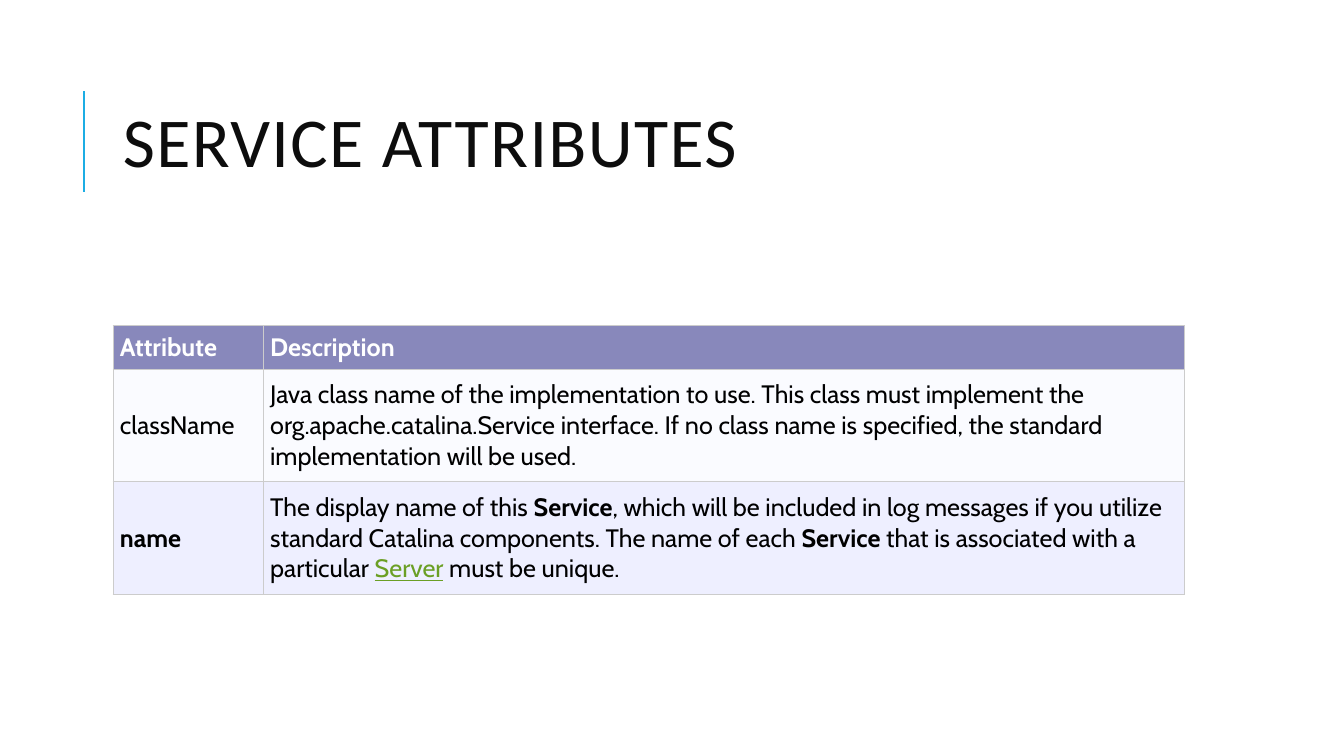
from lxml.etree import SubElement
from pptx import Presentation
from pptx.dml.color import RGBColor
from pptx.enum.shapes import MSO_CONNECTOR
from pptx.enum.text import MSO_ANCHOR
from pptx.oxml.ns import qn
from pptx.util import Pt

PX = 9144  # 100 px to the inch

ACCENT = RGBColor(0x1C, 0xAD, 0xE4)
TITLE_INK = RGBColor(0x0D, 0x0D, 0x0D)
WHITE = RGBColor(0xFF, 0xFF, 0xFF)
BLACK = RGBColor(0x00, 0x00, 0x00)
LINK = RGBColor(0x6B, 0x9F, 0x25)
HEADER_FILL = RGBColor(0x88, 0x88, 0xBB)
ROW_FILLS = [RGBColor(0xFA, 0xFB, 0xFF), RGBColor(0xEE, 0xEF, 0xFF)]
GRID = RGBColor(0xCC, 0xCC, 0xCC)

BOLD = {"bold": True}
UNDERLINED = {"color": LINK, "underline": True}

HEADER = ["Attribute", "Description"]
ATTRIBUTES = [
    (
        [("className", {})],
        [("Java class name of the implementation to use. This class must implement "
          "the org.apache.catalina.Service interface. If no class name is specified, "
          "the standard implementation will be used.", {})],
    ),
    (
        [("name", BOLD)],
        [("The display name of this ", {}),
         ("Service", BOLD),
         (", which will be included in log messages if you utilize standard "
          "Catalina components. The name of each ", {}),
         ("Service", BOLD),
         (" that is associated with a particular ", {}),
         ("Server", UNDERLINED),
         (" must be unique.", {})],
    ),
]


def add_text(paragraph, text, font="Cabin", size=18, color=BLACK, bold=False,
             underline=False, spacing=0):
    run = paragraph.add_run()
    run.text = text
    run.font.name = font
    run.font.size = Pt(size)
    run.font.color.rgb = color
    run.font.bold = bold
    run.font.underline = underline
    if spacing:
        run._r.get_or_add_rPr().set("spc", str(spacing * 100))


def add_title(slide, text, left, top, width, height):
    """Place the heading in the box, with the accent rule to its left."""
    rule_x, rule_top, rule_height = left - 29, top + 26, 100
    rule = slide.shapes.add_connector(
        MSO_CONNECTOR.STRAIGHT, rule_x * PX, (rule_top + rule_height) * PX,
        rule_x * PX, rule_top * PX)
    rule.line.color.rgb = ACCENT
    rule.line.width = Pt(1.5)
    SubElement(rule._element.spPr, qn("a:effectLst"))

    heading = slide.shapes.add_textbox(left * PX, top * PX, width * PX, height * PX)
    frame = heading.text_frame
    frame.word_wrap = True
    frame.vertical_anchor = MSO_ANCHOR.MIDDLE
    frame.paragraphs[0].line_spacing = 0.8
    add_text(frame.paragraphs[0], text, font="Calibri", size=50, color=TITLE_INK,
             spacing=1)


def add_borders(cell):
    properties = cell._tc.get_or_add_tcPr()
    for position, side in enumerate(("lnL", "lnR", "lnT", "lnB")):
        border = properties.makeelement(qn(f"a:{side}"), {"w": str(Pt(0.6))})
        properties.insert(position, border)
        fill = SubElement(border, qn("a:solidFill"))
        SubElement(fill, qn("a:srgbClr"), val=str(GRID))


def fill_cell(cell, runs, fill):
    cell.fill.solid()
    cell.fill.fore_color.rgb = fill
    cell.vertical_anchor = MSO_ANCHOR.MIDDLE
    cell.margin_left = cell.margin_right = 7 * PX
    cell.margin_top = cell.margin_bottom = 4 * PX
    for text, style in runs:
        add_text(cell.text_frame.paragraphs[0], text, **style)
    add_borders(cell)


def add_attribute_table(slide, left, top, width, height):
    name_width, header_height = 149, 43
    row_height = (height - header_height) // len(ATTRIBUTES)
    table = slide.shapes.add_table(
        len(ATTRIBUTES) + 1, len(HEADER),
        left * PX, top * PX, width * PX, height * PX).table
    table.columns[0].width = name_width * PX
    table.columns[1].width = (width - name_width) * PX

    header_style = {"color": WHITE, "bold": True}
    header_cells = [[(label, header_style)] for label in HEADER]
    rows = [(header_cells, HEADER_FILL, header_height)]
    rows += [(cells, fill, row_height) for cells, fill in zip(ATTRIBUTES, ROW_FILLS)]
    for row, (cells, fill, row_px) in zip(table.rows, rows):
        row.height = row_px * PX
        for cell, runs in zip(row.cells, cells):
            fill_cell(cell, runs, fill)


def main():
    presentation = Presentation()
    presentation.slide_width = 1333 * PX
    presentation.slide_height = 750 * PX
    slide = presentation.slides.add_slide(presentation.slide_layouts[6])
    add_title(slide, "SERVICE ATTRIBUTES", 112, 64, 1063, 164)
    add_attribute_table(slide, 112, 323, 1063, 267)
    presentation.save("out.pptx")


if __name__ == "__main__":
    main()
